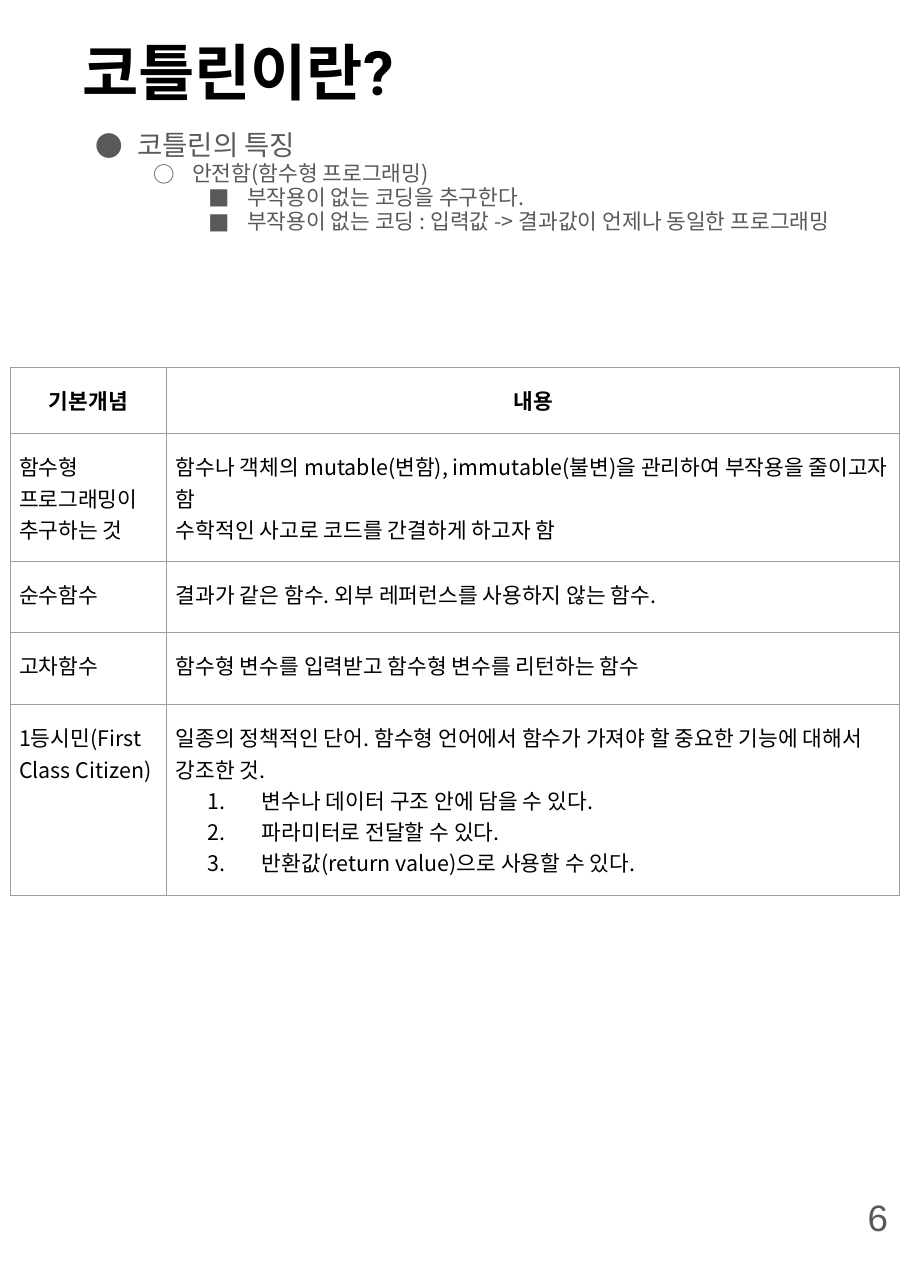
from lxml.etree import SubElement
from pptx import Presentation
from pptx.dml.color import RGBColor
from pptx.enum.text import MSO_ANCHOR, MSO_AUTO_SIZE, PP_ALIGN
from pptx.oxml.ns import qn
from pptx.util import Pt

SCALE = 8298
NOTO = "Noto Sans CJK KR"
GREY = "595959"
BLACK = "000000"
BORDER = "9E9E9E"

FEATURES = [
    ("코틀린의 특징", 0),
    ("안전함(함수형 프로그래밍)", 1),
    ("부작용이 없는 코딩을 추구한다.", 2),
    ("부작용이 없는 코딩 : 입력값 -> 결과값이 언제나 동일한 프로그래밍", 2),
]
LEVELS = [("●", 18, 55, -42), ("○", 14, 110, -39), ("■", 14, 165, -39)]

HEADERS = ["기본개념", "내용"]
CONCEPTS = [
    ("함수형 프로그래밍이 추구하는 것",
     ["함수나 객체의 mutable(변함), immutable(불변)을 관리하여 부작용을 줄이고자 함",
      "수학적인 사고로 코드를 간결하게 하고자 함"], []),
    ("순수함수", ["결과가 같은 함수. 외부 레퍼런스를 사용하지 않는 함수."], []),
    ("고차함수", ["함수형 변수를 입력받고 함수형 변수를 리턴하는 함수"], []),
    ("1등시민(First Class Citizen)",
     ["일종의 정책적인 단어. 함수형 언어에서 함수가 가져야 할 중요한 기능에 대해서 강조한 것."],
     ["변수나 데이터 구조 안에 담을 수 있다.",
      "파라미터로 전달할 수 있다.",
      "반환값(return value)으로 사용할 수 있다."]),
]
COL_WIDTHS = [157, 733]
ROW_HEIGHTS = [66, 128, 71, 72, 190]


def px(n):
    return n * SCALE


def rgb(value):
    return RGBColor.from_string(value)


def add_bullet(p, color, left, indent, char=None):
    pPr = p._p.get_or_add_pPr()
    pPr.set("marL", str(px(left)))
    pPr.set("indent", str(px(indent)))
    clr = SubElement(pPr, qn("a:buClr"))
    SubElement(clr, qn("a:srgbClr"), val=color)
    SubElement(pPr, qn("a:buFont"), typeface=NOTO)
    if char:
        SubElement(pPr, qn("a:buChar"), char=char)
    else:
        SubElement(pPr, qn("a:buAutoNum"), type="arabicPeriod")


def add_text(tf, text, size=14, font=NOTO, color=BLACK, bold=False,
             align=PP_ALIGN.LEFT, spacing=1.0, level=0, bullet=None):
    p = tf.paragraphs[0] if not tf.text else tf.add_paragraph()
    if bullet:
        add_bullet(p, color, **bullet)
    p.level = level
    p.alignment = align
    p.line_spacing = spacing
    p.space_before = p.space_after = Pt(0)
    r = p.add_run()
    r.text = text
    r.font.size = Pt(size)
    r.font.bold = bold
    r.font.name = font
    r.font.color.rgb = rgb(color)
    SubElement(r._r.get_or_add_rPr(), qn("a:ea"), typeface=font)


def place(sp, x, y, w, h, anchor=MSO_ANCHOR.TOP):
    sp.left, sp.top, sp.width, sp.height = px(x), px(y), px(w), px(h)
    tf = sp.text_frame
    tf.word_wrap = True
    tf.auto_size = MSO_AUTO_SIZE.NONE
    tf.vertical_anchor = anchor
    tf.margin_left = tf.margin_right = tf.margin_top = tf.margin_bottom = px(11)
    return tf


def format_cell(cell):
    cell.margin_left = cell.margin_right = px(9)
    cell.margin_top = cell.margin_bottom = px(17)
    cell.vertical_anchor = MSO_ANCHOR.TOP
    tcPr = cell._tc.get_or_add_tcPr()
    for side in ("lnL", "lnR", "lnT", "lnB"):
        ln = SubElement(tcPr, qn(f"a:{side}"), w=str(Pt(0.75)))
        fill = SubElement(ln, qn("a:solidFill"))
        SubElement(fill, qn("a:srgbClr"), val=BORDER)
    cell.fill.background()
    return cell.text_frame


def add_concept_table(s):
    frame = s.shapes.add_table(len(ROW_HEIGHTS), len(COL_WIDTHS), px(10), px(368),
                               px(sum(COL_WIDTHS)), px(sum(ROW_HEIGHTS)))
    table = frame.table
    table.first_row = table.horz_banding = False
    for col, width in zip(table.columns, COL_WIDTHS):
        col.width = px(width)
    for row, height in zip(table.rows, ROW_HEIGHTS):
        row.height = px(height)
    for i, header in enumerate(HEADERS):
        add_text(format_cell(table.cell(0, i)), header, bold=True, align=PP_ALIGN.CENTER)
    for i, (concept, lines, points) in enumerate(CONCEPTS, 1):
        add_text(format_cell(table.cell(i, 0)), concept)
        tf = format_cell(table.cell(i, 1))
        for line in lines:
            add_text(tf, line)
        for point in points:
            add_text(tf, point, bullet=dict(left=86, indent=-54))


def add_features(sp):
    tf = place(sp, 71, 119, 779, 856)
    for text, level in FEATURES:
        char, size, left, indent = LEVELS[level]
        add_text(tf, text, size=size, color=GREY, spacing=0.95, level=level,
                 bullet=dict(left=left, indent=indent, char=char))


def main():
    prs = Presentation()
    prs.slide_width, prs.slide_height = px(911), px(1288)
    s = prs.slides.add_slide(prs.slide_layouts[1])
    title = place(s.shapes.title, 71, 23, 779, 143)
    add_text(title, "코틀린이란?", size=40, font="Roboto", bold=True)
    add_features(s.placeholders[1])
    add_concept_table(s)
    number = s.shapes.add_textbox(0, 0, 0, 0)
    add_text(place(number, 814, 1168, 85, 98, MSO_ANCHOR.MIDDLE), "6", size=24,
             font="Arial", color=GREY, align=PP_ALIGN.RIGHT)
    prs.save("out.pptx")


if __name__ == "__main__":
    main()
